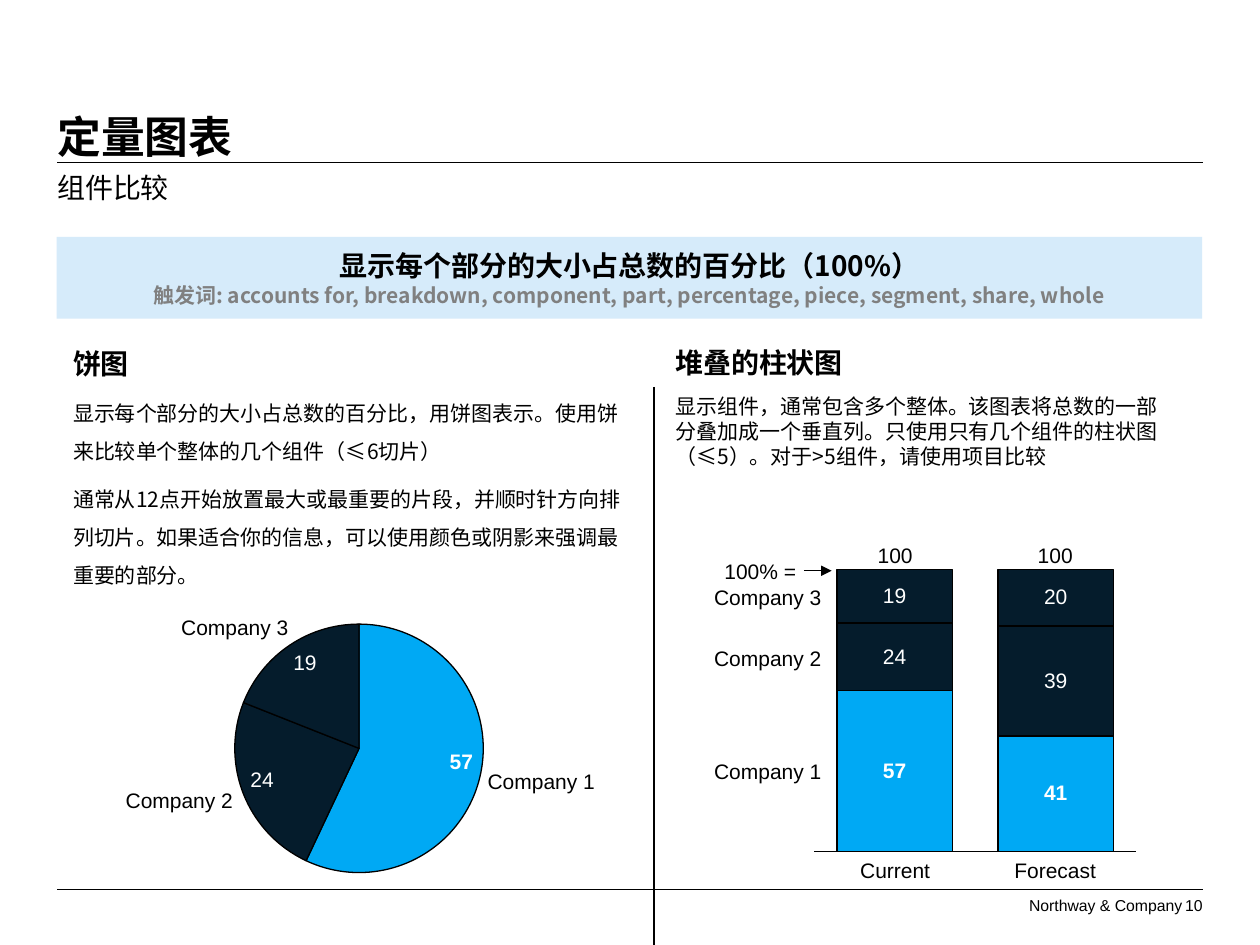
import dataclasses

import pptx
import pptx.chart.data
import pptx.dml.color
import pptx.enum.chart
import pptx.enum.shapes
import pptx.enum.text
import pptx.oxml
import pptx.oxml.ns
import pptx.util

COLORS = {"ink": "000000", "muted": "808080", "band": "D6EBFA",
          "navy": "051C2C", "sky": "00A9F4", "white": "FFFFFF"}
COLUMNS, ROWS = 100, 75
UNIT = pptx.util.Inches(0.1)
LATIN, CHINESE = "Arial", "Noto Sans CJK SC"
ALIGN = pptx.enum.text.PP_ALIGN
ANCHOR = pptx.enum.text.MSO_ANCHOR
LABEL_AT = pptx.enum.chart.XL_LABEL_POSITION
COMPANIES = ("Company 1", "Company 2", "Company 3")
FILLS = ("sky", "navy", "navy")


@dataclasses.dataclass
class Box:
    left: float
    top: float
    width: float
    height: float

    def area(self, left, top, width, height):
        return Box(self.left + left, self.top + top, width, height)

    def emu(self):
        return [round(value * UNIT) for value in dataclasses.astuple(self)]


def apply(target, values):
    for key, value in values.items():
        setattr(target, key, value)


def rgb(name):
    return pptx.dml.color.RGBColor.from_string(COLORS[name])


def style_font(font, size, color="ink", bold=False, name=LATIN):
    apply(font, {"size": pptx.util.Pt(size), "bold": bold, "name": name})
    font.color.rgb = rgb(color)


def paint(segment, fill):
    segment.format.fill.solid()
    segment.format.fill.fore_color.rgb = rgb(fill)
    segment.format.line.color.rgb = rgb("ink")
    segment.format.line.width = pptx.util.Pt(0.75)


def fill_text(shape, lines, size=12, color="ink", bold=False, font=LATIN,
              align=ALIGN.LEFT, anchor=ANCHOR.TOP, wrap=True, spacing=None, gap=0):
    frame = shape.text_frame
    apply(frame, {"margin_left": 0, "margin_right": 0, "margin_top": 0,
                  "margin_bottom": 0, "vertical_anchor": anchor, "word_wrap": wrap,
                  "auto_size": pptx.enum.text.MSO_AUTO_SIZE.NONE})
    for index, line in enumerate(lines):
        paragraph = frame.add_paragraph() if index else frame.paragraphs[0]
        apply(paragraph, {"alignment": align, "line_spacing": spacing})
        if index and gap:
            paragraph.space_before = pptx.util.Pt(gap)
        run = paragraph.add_run()
        run.text = line
        style_font(run.font, size, color, bold, font)
        east_asian = pptx.oxml.parse_xml(
            f'<a:ea {pptx.oxml.ns.nsdecls("a")} typeface="{font}"/>')
        run.font._element.find(pptx.oxml.ns.qn("a:latin")).addnext(east_asian)


def add_text(slide, box, lines, **style):
    fill_text(slide.shapes.add_textbox(*box.emu()), lines, **style)


def add_rule(slide, box, weight=0.75, arrow=False):
    left, top, width, height = box.emu()
    rule = slide.shapes.add_connector(
        pptx.enum.shapes.MSO_CONNECTOR.STRAIGHT, left, top, left + width, top + height)
    rule.line.color.rgb = rgb("ink")
    rule.line.width = pptx.util.Pt(weight)
    namespace = pptx.oxml.ns.nsdecls("a")
    if arrow:
        rule.line._get_or_add_ln().append(
            pptx.oxml.parse_xml(f'<a:tailEnd {namespace} type="triangle"/>'))
    rule._element.spPr.append(pptx.oxml.parse_xml(f"<a:effectLst {namespace}/>"))


def add_share_chart(slide, box, kind, categories, series, plot_share):
    data = pptx.chart.data.CategoryChartData(number_format="0")
    data.categories = categories
    for name, values in series:
        data.add_series(name, values)
    chart = slide.shapes.add_chart(kind, *box.emu(), data).chart
    apply(chart, {"has_legend": False, "has_title": False})
    style_font(chart.font, 10)
    plot_area = chart._chartSpace.chart.plotArea
    for old in plot_area.findall(pptx.oxml.ns.qn("c:layout")):
        plot_area.remove(old)
    places = "".join(f'<c:{key} val="{share}"/>' for key, share in zip("xywh", plot_share))
    plot_area.insert(0, pptx.oxml.parse_xml(
        f'<c:layout {pptx.oxml.ns.nsdecls("c")}><c:manualLayout>'
        '<c:layoutTarget val="inner"/><c:xMode val="edge"/><c:yMode val="edge"/>'
        f"{places}</c:manualLayout></c:layout>"))
    return chart


def build_header(slide, box):
    title = slide.shapes.title
    apply(title, dict(zip(("left", "top", "width", "height"),
                          box.area(0, 0, 20.4, 5).emu())))
    fill_text(title, ["定量图表"], size=25, bold=True, font=CHINESE, anchor=ANCHOR.BOTTOM)
    add_rule(slide, box.area(0, 5, box.width, 0), 0.5)
    add_text(slide, box.area(0, 5.6, 35.7, 3.4), ["组件比较"], size=16, font=CHINESE)


def build_band(slide, box):
    band = slide.shapes.add_shape(pptx.enum.shapes.MSO_SHAPE.RECTANGLE, *box.emu())
    band.shadow.inherit = False
    band.fill.solid()
    band.fill.fore_color.rgb = rgb("band")
    band.line.fill.background()
    shared = {"bold": True, "font": CHINESE, "align": ALIGN.CENTER}
    add_text(slide, box.area(0, 0.9, box.width, 2.7),
             ["显示每个部分的大小占总数的百分比（100%）"], size=16, **shared)
    add_text(slide, box.area(0, 3.6, box.width, 2),
             ["触发词: accounts for, breakdown, component, part, percentage, piece, "
              "segment, share, whole"], color="muted", **shared)


def build_pie_panel(slide, box):
    add_text(slide, box.area(0, 0, 4.5, 2.7), ["饼图"], size=16, bold=True,
             font=CHINESE, wrap=False)
    add_text(slide, box.area(0, 3.3, box.width, 15.8),
             ["显示每个部分的大小占总数的百分比，用饼图表示。使用饼来比较单个整体的几个组件（≤6切片）",
              "通常从12点开始放置最大或最重要的片段，并顺时针方向排列切片。"
              "如果适合你的信息，可以使用颜色或阴影来强调最重要的部分。"],
             font=CHINESE, spacing=1.5, gap=6)
    chart = add_share_chart(slide, box.area(11.9, 18.2, 21.6, 27.4),
                            pptx.enum.chart.XL_CHART_TYPE.PIE, ("1", "2", "3"),
                            [("Series 1", (57, 24, 19))], (0.04, 0.14, 0.92, 0.72))
    plot = chart.plots[0]
    plot.vary_by_categories = False
    for index, fill in enumerate(FILLS):
        slice_ = plot.series[0].points[index]
        paint(slice_, fill)
        style_font(slice_.data_label.font, 12, "white", fill == "sky")
        slice_.data_label.position = LABEL_AT.INSIDE_END
    places = ((32.9, 33.5, ALIGN.LEFT), (4.2, 35, ALIGN.RIGHT), (8.6, 21.3, ALIGN.RIGHT))
    for company, (left, top, align) in zip(COMPANIES, places):
        add_text(slide, box.area(left, top, 8.5, 2), [company], align=align,
                 anchor=ANCHOR.MIDDLE, wrap=False)


def build_column_panel(slide, box):
    add_text(slide, box.area(0, 0, 13.5, 2.7), ["堆叠的柱状图"], size=16, bold=True,
             font=CHINESE, wrap=False)
    add_text(slide, box.area(0, 3.8, box.width, 6.1),
             ["显示组件，通常包含多个整体。该图表将总数的一部分叠加成一个垂直列。"
              "只使用只有几个组件的柱状图（≤5）。对于>5组件，请使用项目比较"], font=CHINESE)
    shares = ((57, 41), (24, 39), (19, 20))
    chart = add_share_chart(slide, box.area(10.2, 15, 27.2, 28),
                            pptx.enum.chart.XL_CHART_TYPE.COLUMN_STACKED, ("1", "2"),
                            [(f"Series {i}", values) for i, values in enumerate(shares, 1)],
                            (0.03, 0.1, 0.94, 0.8))
    apply(chart.plots[0], {"gap_width": 40, "overlap": 100, "vary_by_categories": False})
    apply(chart.value_axis, {"minimum_scale": 0, "maximum_scale": 100,
                             "has_major_gridlines": False, "visible": False})
    apply(chart.category_axis, {
        "tick_label_position": pptx.enum.chart.XL_TICK_LABEL_POSITION.NONE,
        "major_tick_mark": pptx.enum.chart.XL_TICK_MARK.NONE})
    chart.category_axis.format.line.color.rgb = rgb("ink")
    chart.category_axis.format.line.width = pptx.util.Pt(0.75)
    for segment, fill in zip(chart.plots[0].series, FILLS):
        paint(segment, fill)
        apply(segment.data_labels, {"show_value": True, "position": LABEL_AT.CENTER})
        style_font(segment.data_labels.font, 12, "white", fill == "sky")
    for company, top in zip(COMPANIES, (32.8, 23.8, 19)):
        add_text(slide, box.area(3.1, top, 8.5, 2), [company], align=ALIGN.RIGHT,
                 anchor=ANCHOR.MIDDLE, wrap=False)
    for index, period in enumerate(("Current", "Forecast")):
        left = 14.1 + index * 12.7
        for top, label in ((15.7, "100"), (40.7, period)):
            add_text(slide, box.area(left, top, 6.7, 2), [label],
                     align=ALIGN.CENTER, wrap=False)
    add_text(slide, box.area(3.9, 16.9, 5.7, 2), ["100% ="], align=ALIGN.RIGHT,
             anchor=ANCHOR.MIDDLE, wrap=False)
    add_rule(slide, box.area(10.2, 17.9, 2.2, 0), arrow=True)


def build_footer(slide, box):
    add_rule(slide, box.area(0, 0, box.width, 0), 0.5)
    add_text(slide, box.area(77, 0.5, 12.4, 1.5), ["Northway & Company"], size=9,
             align=ALIGN.CENTER, anchor=ANCHOR.BOTTOM, wrap=False)
    add_text(slide, box.area(88.2, 0.5, 2.7, 1.5), ["10"], size=9,
             align=ALIGN.RIGHT, anchor=ANCHOR.BOTTOM)


def main():
    deck = pptx.Presentation()
    apply(deck, {"slide_width": COLUMNS * UNIT, "slide_height": ROWS * UNIT})
    slide = deck.slides.add_slide(deck.slide_layouts.get_by_name("Title Only"))
    build_header(slide, Box(4.55, 7.9, 90.9, 9))
    build_band(slide, Box(4.5, 18.8, 90.9, 6.5))
    build_pie_panel(slide, Box(5.8, 27.5, 44.2, 45.6))
    build_column_panel(slide, Box(53.6, 27.4, 39.5, 43))
    build_footer(slide, Box(4.55, 70.6, 90.9, 2))
    add_rule(slide, Box(51.9, 30.7, 0, ROWS - 30.7))
    deck.save("out.pptx")


if __name__ == "__main__":
    main()
